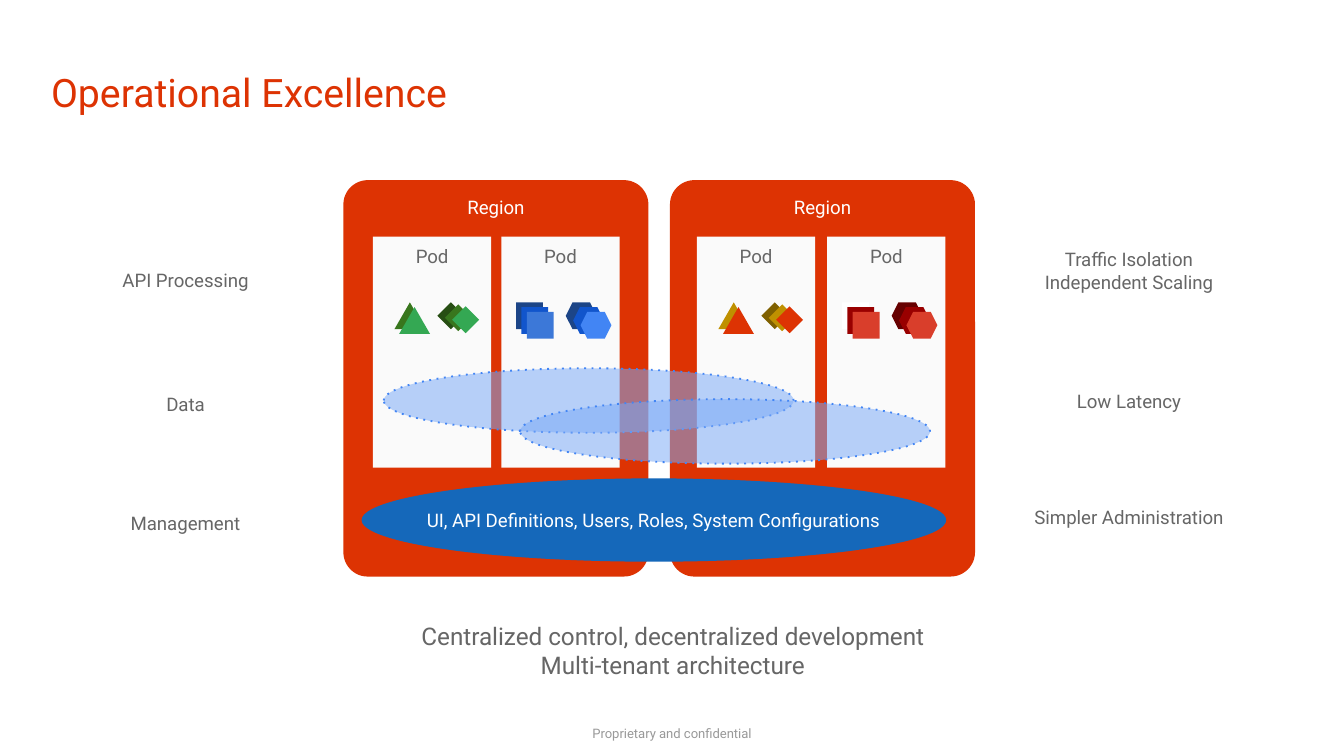
from lxml.etree import SubElement
from pptx import Presentation
from pptx.dml.color import RGBColor
from pptx.enum.shapes import MSO_SHAPE
from pptx.enum.text import MSO_ANCHOR, PP_ALIGN
from pptx.oxml.ns import qn
from pptx.util import Inches, Pt

# Content
TITLE = "Operational Excellence"
SUMMARY = "Centralized control, decentralized development\nMulti-tenant architecture"
FOOTER = "Proprietary and confidential"
MANAGEMENT = "UI, API Definitions, Users, Roles, System Configurations"
# Each side column: centre, then (text, top, rows of text); \v is a line break
SIDE_LABELS = [
    (13.8, [("API Processing", 19.6, 1), ("Data", 28.85, 1), ("Management", 37.65, 1)]),
    (84, [("Traffic Isolation\vIndependent Scaling", 18.05, 2),
          ("Low Latency", 28.6, 1), ("Simpler Administration", 37.25, 1)]),
]
# Each region: left edge, then pods as (left edge, icon colours back to front)
REGIONS = [
    (25.55, [(27.75, {"triangle": ["moss", "green"],
                      "diamond": ["forest", "moss", "green"]}),
             (37.3, {"square": ["navy", "cobalt", "azure"],
                     "hexagon": ["navy", "cobalt", "sky"]})]),
    (49.85, [(51.85, {"triangle": ["gold", "orange"],
                      "diamond": ["bronze", "gold", "orange"]}),
             (61.55, {"square": ["white", "crimson", "red"],
                      "hexagon": ["maroon", "crimson", "red"]})]),
]
DATA_CLOUDS = [(28.55, 27.4), (38.7, 29.7)]

# Format
COLORS = {
    "orange": "DD3303", "grey": "666666", "silver": "999999", "white": "FFFFFF",
    "paper": "FAFAFA", "blue": "1568BA", "cloud": "7BAAF7", "sky": "4285F4",
    "moss": "38761D", "green": "34A853", "forest": "274E13", "navy": "1C4587",
    "cobalt": "1155CC", "azure": "3C78D8", "gold": "BF9000", "bronze": "7F6000",
    "crimson": "990000", "red": "D93E2B", "maroon": "660000",
}
# Icon: outline, offset in pod, width, step right, step down
ICONS = {
    "triangle": (MSO_SHAPE.ISOSCELES_TRIANGLE, 1.6, 2.3, 0.35, 0.35),
    "diamond": (MSO_SHAPE.DIAMOND, 4.8, 2, 0.55, 0.15),
    "square": (MSO_SHAPE.RECTANGLE, 1.1, 2, 0.4, 0.35),
    "hexagon": (MSO_SHAPE.HEXAGON, 4.8, 2.3, 0.55, 0.35),
}
LABEL_INSET = (0.04, 0.04)
FONT = "Roboto"

deck = Presentation()
deck.slide_width = Inches(10)
deck.slide_height = deck.slide_width * 9 // 16
slide = deck.slides.add_slide(deck.slide_layouts[6])
CELL = deck.slide_width / 100  # square grid, 100 columns across


def grid(*cells):
    return [round(cell * CELL) for cell in cells]


def color(name):
    return RGBColor.from_string(COLORS[name])


def write(holder, text, size, tint, inset=LABEL_INSET,
          align=PP_ALIGN.CENTER, anchor=MSO_ANCHOR.TOP):
    frame = holder.text_frame
    side, edge = map(Inches, inset)
    settings = {"word_wrap": True, "vertical_anchor": anchor,
                "margin_left": side, "margin_right": side,
                "margin_top": edge, "margin_bottom": edge, "text": text}
    for name, value in settings.items():
        setattr(frame, name, value)
    for paragraph in frame.paragraphs:
        paragraph.alignment = align
        for run in paragraph.runs:
            for name, value in {"name": FONT, "size": Pt(size)}.items():
                setattr(run.font, name, value)
            run.font.color.rgb = color(tint)


def label(place, text, size, tint, **options):
    write(slide.shapes.add_textbox(*grid(*place)), text, size, tint, **options)


def centred_label(center, top, width, text, tint, height=2.5):
    label((center - width / 2, top, width, height), text, 10, tint)


def block(outline, place, fill):
    shape = slide.shapes.add_shape(outline, *grid(*place))
    shape.shadow.inherit = False
    shape.fill.solid()
    shape.fill.fore_color.rgb = color(fill)
    shape.line.fill.background()
    return shape


# Title, summary and footer
label((3, 4.25, 70.9, 6.2), TITLE, 21, "orange", inset=(0.08, 0.08), align=PP_ALIGN.LEFT)
label((-0.1, 45.85, 100.3, 3.6), SUMMARY, 13, "grey")
label((33.1, 53.45, 33.8, 2.2), FOOTER, 7, "silver", inset=(0.1, 0.05),
      anchor=MSO_ANCHOR.BOTTOM)

# Side labels
for center, entries in SIDE_LABELS:
    for text, top, rows in entries:
        width = 18.7 if rows > 1 else 3 + len(text) * 0.7
        centred_label(center, top, width, text, "grey", 0.8 + 1.7 * rows)

# Regions with their pods and icon stacks
for region_left, pods in REGIONS:
    region = block(MSO_SHAPE.ROUNDED_RECTANGLE, (region_left, 13.4, 22.7, 29.5), "orange")
    region.adjustments[0] = 0.08
    centred_label(region_left + 22.7 / 2, 14.2, 5.4, "Region", "white")
    for pod_left, stacks in pods:
        block(MSO_SHAPE.RECTANGLE, (pod_left, 17.6, 8.8, 17.2), "paper")
        centred_label(pod_left + 8.8 / 2, 17.85, 3.5, "Pod", "grey")
        for icon, layers in stacks.items():
            outline, offset, width, right, down = ICONS[icon]
            for depth, tint in enumerate(layers):
                block(outline, (pod_left + offset + depth * right,
                                22.5 + depth * down, width, 2), tint)

# Management layer
block(MSO_SHAPE.OVAL, (26.9, 35.6, 43.5, 6.2), "blue")
banner = block(MSO_SHAPE.RECTANGLE, (30.05, 37.45, 37.1, 2.5), "blue")
write(banner, MANAGEMENT, 10, "white", anchor=MSO_ANCHOR.MIDDLE)

# Data layer: translucent clouds with dotted outlines
for left, top in DATA_CLOUDS:
    cloud = block(MSO_SHAPE.OVAL, (left, top, 30.5, 4.8), "cloud")
    cloud.line.color.rgb = color("sky")
    cloud.line.width = Pt(1)
    properties = cloud.fill._xPr
    tint = properties.find(qn("a:solidFill")).find(qn("a:srgbClr"))
    SubElement(tint, qn("a:alpha"), val="53000")
    SubElement(properties.find(qn("a:ln")), qn("a:prstDash"), val="dot")

deck.save("out.pptx")
